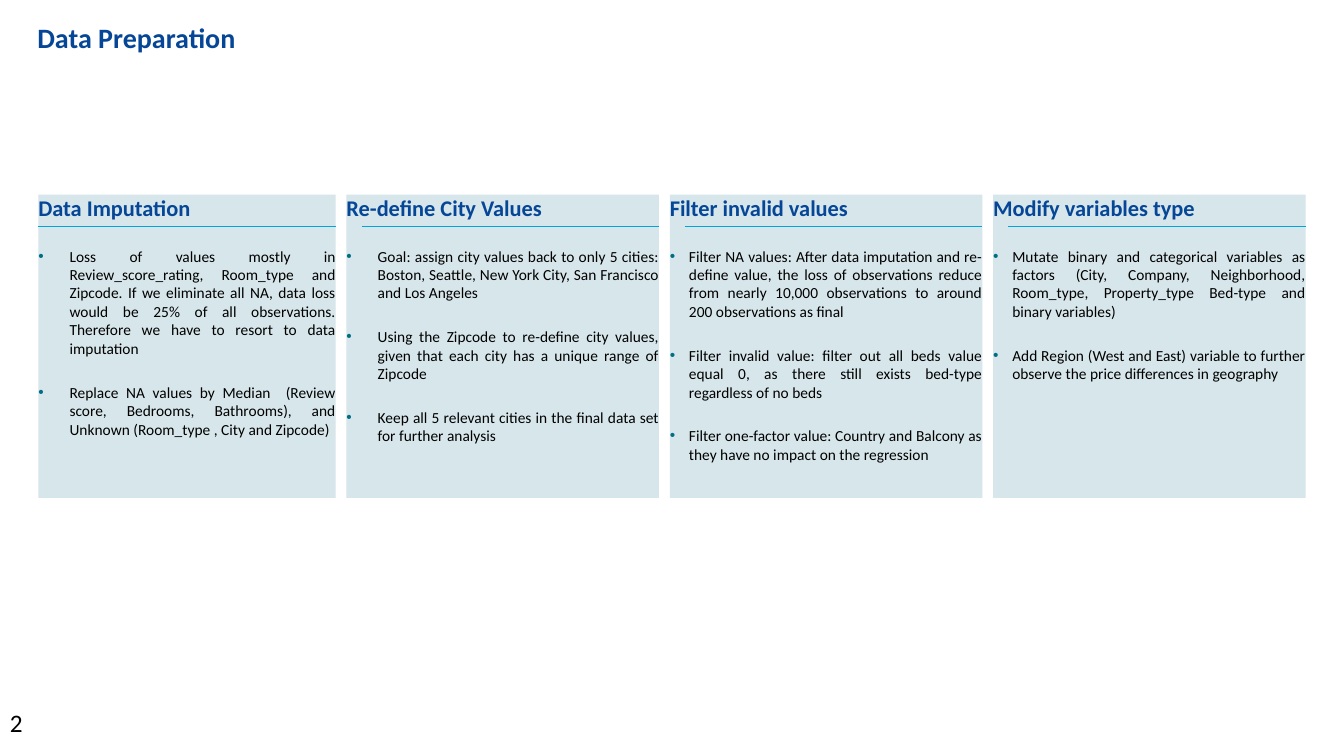
"""Build the Data Preparation slide: four cards of cleaning steps on a regular grid."""
from dataclasses import dataclass

from lxml import etree
from pptx import Presentation
from pptx.dml.color import RGBColor
from pptx.enum.shapes import MSO_CONNECTOR, MSO_SHAPE
from pptx.enum.text import MSO_ANCHOR, MSO_AUTO_SIZE, PP_ALIGN
from pptx.oxml.ns import qn
from pptx.util import Inches, Pt

RECTANGLE = MSO_SHAPE.RECTANGLE
STRAIGHT = MSO_CONNECTOR.STRAIGHT
TOP = MSO_ANCHOR.TOP
LEFT, JUSTIFY = PP_ALIGN.LEFT, PP_ALIGN.JUSTIFY
NO_AUTOFIT = MSO_AUTO_SIZE.NONE


@dataclass(frozen=True)
class Theme:
    """Font, colours and type sizes of the slide."""
    font: str = "Calibri"
    heading: str = "054696"
    body: str = "000000"
    card: str = "D7E6EB"
    rule: str = "00A5DC"
    bullet: str = "006E85"
    title_size: int = 20
    number_size: int = 18
    heading_size: int = 16
    body_size: int = 11
    space_after: int = 18


THEME = Theme()
SLIDE_WIDTH, SLIDE_HEIGHT = 13.33, 7.5
MARGIN = 0.38
COLUMN_WIDTH = 2.95
COLUMN_COUNT = 4
COLUMN_PITCH = (SLIDE_WIDTH - 2 * MARGIN - COLUMN_WIDTH) / (COLUMN_COUNT - 1)
CARD_OVERHANG = 0.15
CARD_TOP, CARD_HEIGHT = 1.93, 3.01
RULE_TOP = 2.25
WIDE_INDENT, NARROW_INDENT = 0.31, 0.19

CARDS = [
    ("Data Imputation", WIDE_INDENT, [
        "Loss of values mostly in Review_score_rating, Room_type and Zipcode. If we eliminate all NA, "
        "data loss would be 25% of all observations. Therefore we have to resort to data imputation",
        "Replace NA values by Median  (Review score, Bedrooms, Bathrooms), and Unknown "
        "(Room_type , City and Zipcode)",
    ]),
    ("Re-define City Values", WIDE_INDENT, [
        "Goal: assign city values back to only 5 cities: Boston, Seattle, New York City, "
        "San Francisco and Los Angeles",
        "Using the Zipcode to re-define city values, given that each city has a unique range of Zipcode",
        "Keep all 5 relevant cities in the final data set for further analysis",
    ]),
    ("Filter invalid values", NARROW_INDENT, [
        "Filter NA values: After data imputation and re-define value, the loss of observations reduce "
        "from nearly 10,000 observations to around 200 observations as final",
        "Filter invalid value: filter out all beds value equal 0, as there still exists bed-type "
        "regardless of no beds",
        "Filter one-factor value: Country and Balcony as they have no impact on the regression",
    ]),
    ("Modify variables type", NARROW_INDENT, [
        "Mutate binary and categorical variables as factors (City, Company, Neighborhood, Room_type, "
        "Property_type Bed-type and binary variables)",
        "Add Region (West and East) variable to further observe the price differences in geography",
    ]),
]


def add_run(paragraph, text, size, color, bold=False, alignment=LEFT):
    """Add one formatted run and align its paragraph."""
    paragraph.alignment = alignment
    run = paragraph.add_run()
    run.text = text
    run.font.name = THEME.font
    run.font.size = Pt(size)
    run.font.bold = bold
    run.font.color.rgb = RGBColor.from_string(color)


def add_bullet(paragraph, indent):
    """Give a paragraph a coloured bullet with a hanging indent."""
    properties = paragraph._p.get_or_add_pPr()
    properties.set("marL", str(Inches(indent)))
    properties.set("indent", str(-Inches(indent)))
    bullet_color = etree.SubElement(properties, qn("a:buClr"))
    etree.SubElement(bullet_color, qn("a:srgbClr"), val=THEME.bullet)
    etree.SubElement(properties, qn("a:buFont"), typeface="Arial")
    etree.SubElement(properties, qn("a:buChar"), char="•")


presentation = Presentation()
presentation.slide_width = Inches(SLIDE_WIDTH)
presentation.slide_height = Inches(SLIDE_HEIGHT)
slide = presentation.slides.add_slide(presentation.slide_layouts.get_by_name("Title Only"))

title = slide.shapes.title
title.left, title.top = Inches(0.27), Inches(0.15)
title.width, title.height = Inches(7.59), Inches(0.68)
title.text_frame.vertical_anchor = TOP
title.text_frame.auto_size = NO_AUTOFIT
add_run(title.text_frame.paragraphs[0], "Data Preparation", THEME.title_size, THEME.heading, bold=True)

for column, (heading, indent, points) in enumerate(CARDS):
    rule_left = MARGIN + column * COLUMN_PITCH
    rule_right = rule_left + COLUMN_WIDTH
    card_left = rule_left - CARD_OVERHANG if column else rule_left

    card = slide.shapes.add_shape(RECTANGLE, Inches(card_left), Inches(CARD_TOP),
                                  Inches(rule_right - card_left), Inches(CARD_HEIGHT))
    card.shadow.inherit = False
    card.fill.solid()
    card.fill.fore_color.rgb = RGBColor.from_string(THEME.card)
    card.line.fill.background()

    frame = card.text_frame
    frame.word_wrap = True
    frame.vertical_anchor = TOP
    frame.margin_left = frame.margin_right = frame.margin_top = frame.margin_bottom = 0
    add_run(frame.paragraphs[0], heading, THEME.heading_size, THEME.heading, bold=True, alignment=JUSTIFY)
    for point in points:
        paragraph = frame.add_paragraph()
        add_run(paragraph, point, THEME.body_size, THEME.body, alignment=JUSTIFY)
    for paragraph in frame.paragraphs:
        paragraph.space_after = Pt(THEME.space_after)
    for paragraph in frame.paragraphs[1:]:
        add_bullet(paragraph, indent)

    rule = slide.shapes.add_connector(STRAIGHT, Inches(rule_left), Inches(RULE_TOP),
                                      Inches(rule_right), Inches(RULE_TOP))
    rule.line.color.rgb = RGBColor.from_string(THEME.rule)
    rule.line.width = Pt(1)
    etree.SubElement(rule._element.spPr, qn("a:effectLst"))

page_number = slide.shapes.add_textbox(0, Inches(6.97), Inches(0.46), Inches(0.3))
page_number.text_frame.word_wrap = True
add_run(page_number.text_frame.paragraphs[0], "2", THEME.number_size, THEME.body)

presentation.save("out.pptx")
